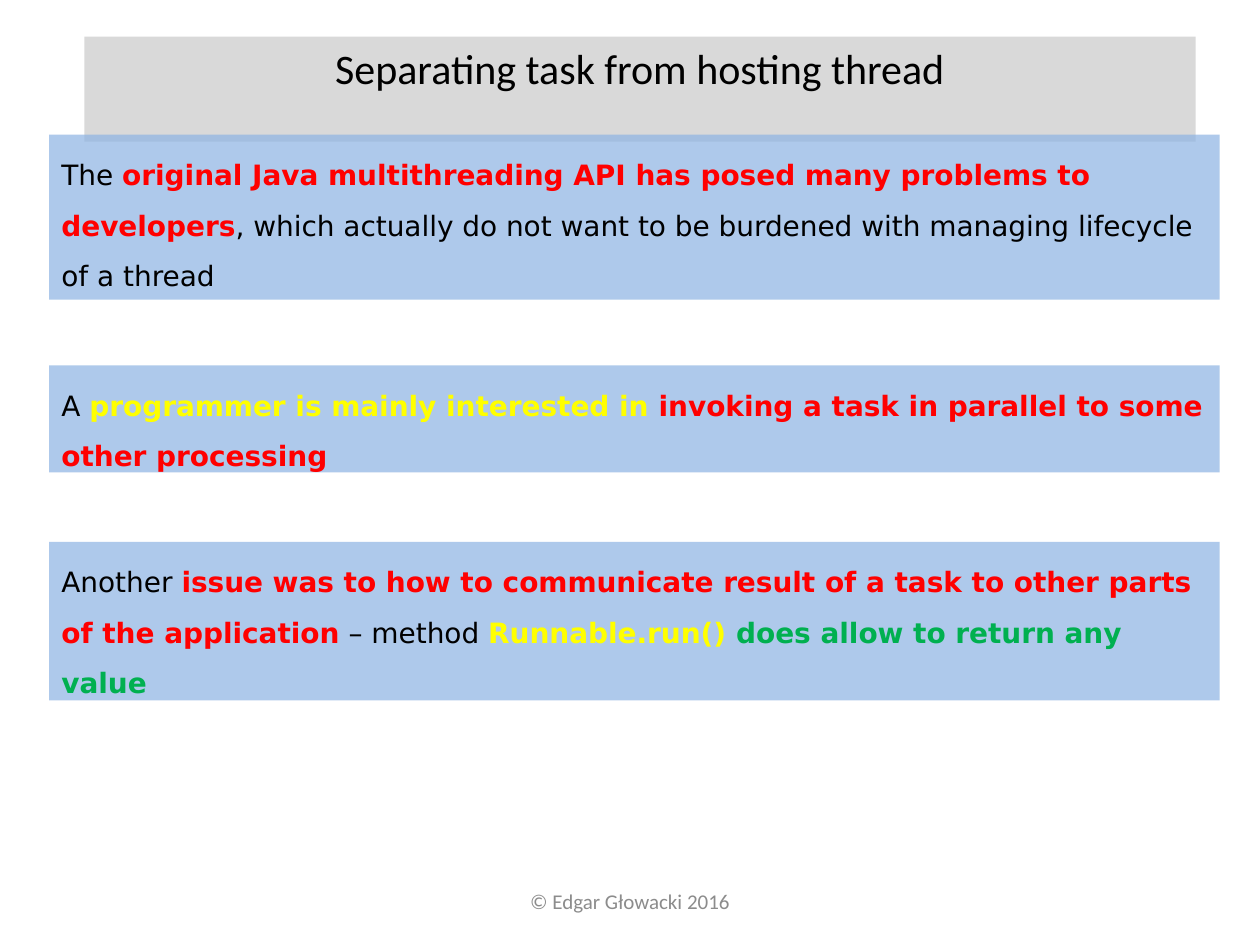
from dataclasses import dataclass

from lxml import etree
from pptx import Presentation
from pptx.dml.color import RGBColor
from pptx.enum.text import MSO_ANCHOR, MSO_AUTO_SIZE, PP_ALIGN
from pptx.oxml.ns import qn
from pptx.util import Pt

CENTER = PP_ALIGN.CENTER
TOP, MIDDLE = MSO_ANCHOR.TOP, MSO_ANCHOR.MIDDLE
GROW = MSO_AUTO_SIZE.SHAPE_TO_FIT_TEXT
TITLE_ONLY = 5


@dataclass(frozen=True)
class Theme:
    black: str = "000000"
    red: str = "FF0000"
    yellow: str = "FFFF00"
    green: str = "00B050"
    gray: str = "8C8C8C"
    bar: str = "D9D9D9"
    panel: str = "8EB4E3"
    alpha: int = 71
    head: str = "Calibri"
    body: str = "DejaVu Sans"
    title: int = 24
    text: int = 16
    foot: int = 12


@dataclass(frozen=True)
class Phrase:
    text: str
    color: str
    bold: bool = True


@dataclass(frozen=True)
class Panel:
    top: float
    height: float
    words: tuple[Phrase, ...]


THEME = Theme()
LEFT, WIDTH = 28, 669


def plain(text: str) -> Phrase:
    return Phrase(text, THEME.black, False)


PANELS = (
    Panel(77, 94.3, (
        plain("The "),
        Phrase("original Java multithreading API has posed many problems to developers", THEME.red),
        plain(", which actually do not want to be burdened with managing lifecycle of a thread"),
    )),
    Panel(208.8, 61.2, (
        plain("A "),
        Phrase("programmer is mainly interested in ", THEME.yellow),
        Phrase("invoking a task in parallel to some other processing", THEME.red),
    )),
    Panel(309.6, 90.7, (
        plain("Another "),
        Phrase("issue was to how to communicate result of a task to other parts of the application",
               THEME.red),
        plain(" – method "),
        Phrase("Runnable.run() ", THEME.yellow),
        Phrase("does allow to return any value", THEME.green),
    )),
)


def style(font, face: str, size: int, color: str, bold: bool = False) -> None:
    font.name, font.size, font.bold = face, Pt(size), bold
    font.color.rgb = RGBColor.from_string(color)


def paint(shape, color: str) -> None:
    shape.fill.solid()
    shape.fill.fore_color.rgb = RGBColor.from_string(color)


def place(shape, left: float, top: float, width: float, height: float) -> None:
    shape.left, shape.top = Pt(left), Pt(top)
    shape.width, shape.height = Pt(width), Pt(height)


def label(shape, text: str, size: int, color: str, anchor: MSO_ANCHOR) -> None:
    """Fill a shape with one centred line."""
    frame = shape.text_frame
    frame.text = text
    frame.word_wrap = True
    frame.vertical_anchor = anchor
    line = frame.paragraphs[0]
    line.alignment = CENTER
    style(line.runs[0].font, THEME.head, size, color)


def draw(slide, panel: Panel) -> None:
    """Draw a translucent panel with coloured phrases."""
    box = slide.shapes.add_textbox(Pt(LEFT), Pt(panel.top), Pt(WIDTH), Pt(panel.height))
    paint(box, THEME.panel)
    tint = box.element.spPr.find(qn("a:solidFill"))[0]
    etree.SubElement(tint, qn("a:alpha"), val=str(THEME.alpha * 1000))
    frame = box.text_frame
    frame.word_wrap = True
    frame.auto_size = GROW
    line = frame.paragraphs[0]
    line.line_spacing = 1.5
    for phrase in panel.words:
        run = line.add_run()
        run.text = phrase.text
        style(run.font, THEME.body, THEME.text, phrase.color, phrase.bold)


def main() -> None:
    deck = Presentation()
    deck.slide_width, deck.slide_height = Pt(720), Pt(540)
    slide = deck.slides.add_slide(deck.slide_layouts[TITLE_ONLY])

    # Title bar
    title = slide.shapes.title
    place(title, 48.2, 20.9, 635, 36)
    paint(title, THEME.bar)
    label(title, "Separating task from hosting thread", THEME.title, THEME.black, TOP)
    title.text_frame.auto_size = GROW

    # Text panels
    for panel in PANELS:
        draw(slide, panel)

    # Footer
    foot = slide.shapes.add_textbox(Pt(246), Pt(500.4), Pt(228), Pt(28.8))
    label(foot, "© Edgar Głowacki 2016", THEME.foot, THEME.gray, MIDDLE)

    deck.save("out.pptx")


if __name__ == "__main__":
    main()
